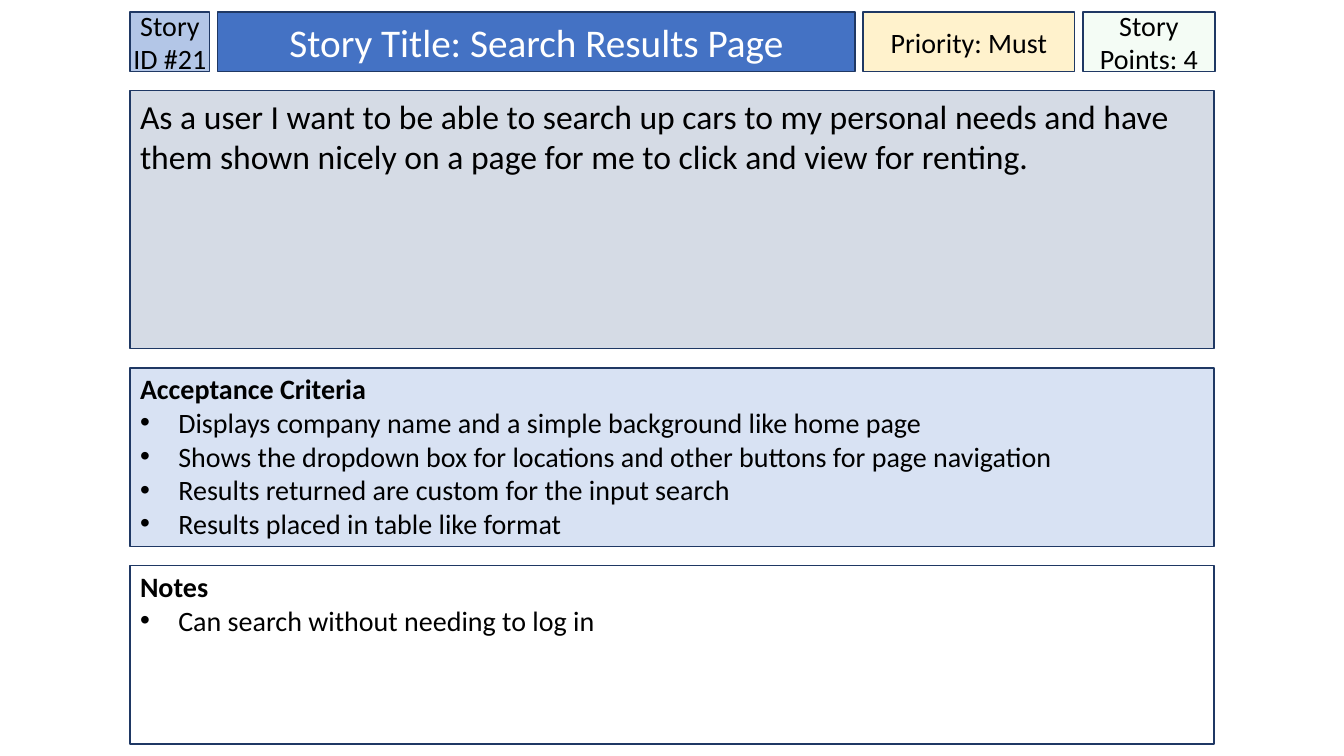
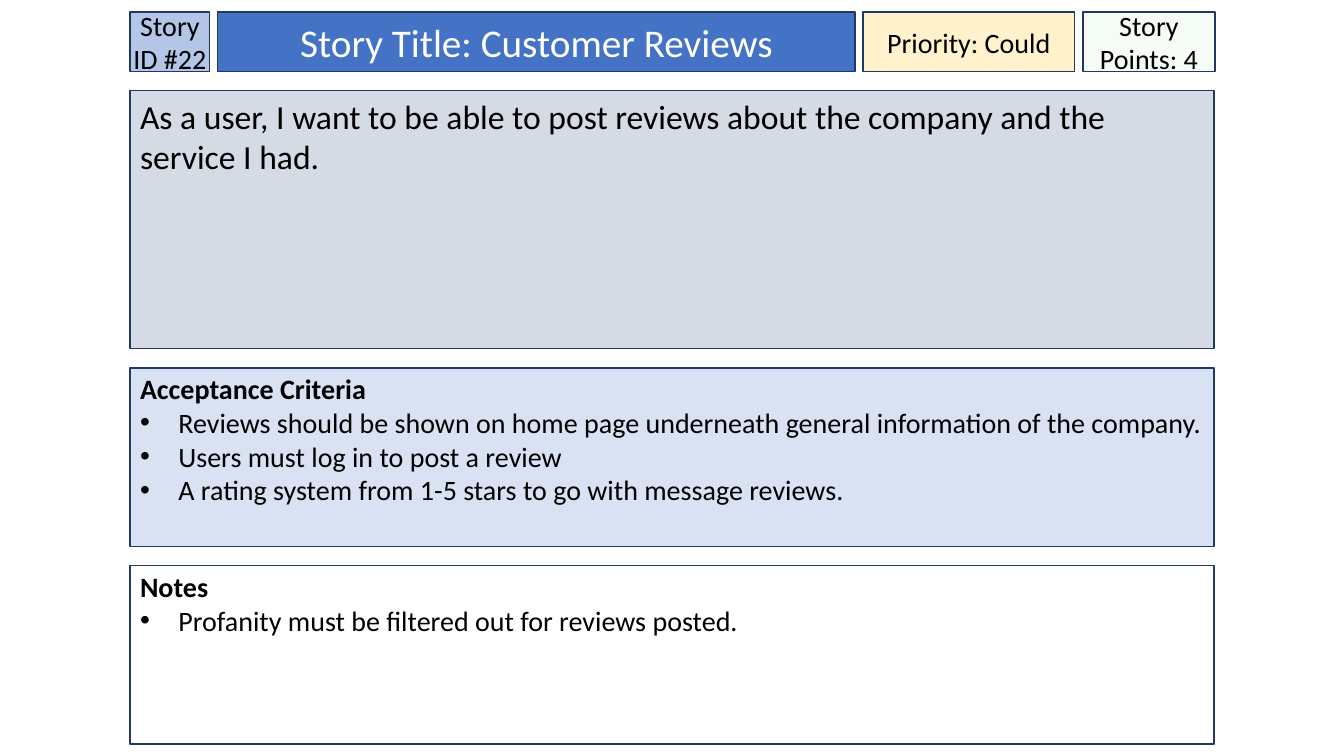
"""Build a deck of user story cards, one card per slide."""
from dataclasses import dataclass

from lxml import etree
from pptx import Presentation
from pptx.dml.color import RGBColor
from pptx.enum.shapes import MSO_SHAPE
from pptx.enum.text import MSO_ANCHOR, PP_ALIGN
from pptx.oxml.ns import qn
from pptx.slide import Slide
from pptx.util import Inches, Pt

RECTANGLE = MSO_SHAPE.RECTANGLE
TOP, MIDDLE = MSO_ANCHOR.TOP, MSO_ANCHOR.MIDDLE
LEFT, CENTER = PP_ALIGN.LEFT, PP_ALIGN.CENTER


@dataclass(frozen=True)
class Theme:
    font: str = "Calibri"
    text: str = "000000"
    title_text: str = "FFFFFF"
    outline: str = "1F3864"
    identifier: str = "B3C6E7"
    title: str = "4472C4"
    priority: str = "FFF2CC"
    points: str = "CCF0CD"
    points_opacity: int = 20
    story: str = "D5DBE5"
    criteria: str = "D8E2F3"
    notes: str = "FFFFFF"
    body_size: int = 20
    story_size: int = 24
    title_size: int = 28


@dataclass(frozen=True)
class Layout:
    left: float = 1.29
    top: float = 0.12
    width: float = 10.75
    header_height: float = 0.59
    header_gap: float = 0.08
    panel_gap: float = 0.19
    bullet_indent: float = 0.38


@dataclass(frozen=True)
class Story:
    number: int
    title: str
    priority: str
    points: int
    description: str
    criteria: tuple[str, ...]
    notes: tuple[str, ...]


@dataclass(frozen=True)
class Card:
    """A filled box: extent is its width in the header and its height as a panel."""
    extent: float
    fill: str
    text: str
    size: int
    color: str
    side_inset: float = 0.1
    top_inset: float = 0.05
    opacity: int = 100
    bold: bool = False
    bullets: tuple[str, ...] = ()


THEME = Theme()
LAYOUT = Layout()

STORIES = (
    Story(
        21, "Search Results Page", "Must", 4,
        "As a user I want to be able to search up cars to my personal needs and have "
        "them shown nicely on a page for me to click and view for renting.",
        (
            "Displays company name and a simple background like home page",
            "Shows the dropdown box for locations and other buttons for page navigation",
            "Results returned are custom for the input search",
            "Results placed in table like format",
        ),
        ("Can search without needing to log in",),
    ),
    Story(
        22, "Customer Reviews", "Could", 4,
        "As a user, I want to be able to post reviews about the company and the "
        "service I had.",
        (
            "Reviews should be shown on home page underneath general information of the company.",
            "Users must log in to post a review",
            "A rating system from 1-5 stars to go with message reviews.",
        ),
        ("Profanity must be filtered out for reviews posted.",),
    ),
)


def header_cards(story: Story) -> tuple[Card, ...]:
    """Return the header boxes from left to right."""
    size, color = THEME.body_size, THEME.text
    return (
        Card(0.79, THEME.identifier, f"Story ID #{story.number}", size, color, side_inset=0),
        Card(6.32, THEME.title, f"Story Title: {story.title}", THEME.title_size, THEME.title_text),
        Card(2.1, THEME.priority, f"Priority: {story.priority}", size, color, side_inset=0),
        Card(1.31, THEME.points, f"Story Points: {story.points}", size, color, side_inset=0,
             opacity=THEME.points_opacity),
    )


def panel_cards(story: Story) -> tuple[Card, ...]:
    """Return the full-width panels from top to bottom."""
    size, color = THEME.body_size, THEME.text
    return (
        Card(2.56, THEME.story, story.description, THEME.story_size, color),
        Card(1.77, THEME.criteria, "Acceptance Criteria", size, color, top_inset=0.04,
             bold=True, bullets=story.criteria),
        Card(1.77, THEME.notes, "Notes", size, color, top_inset=0.04,
             bold=True, bullets=story.notes),
    )


def draw_card(page: Slide, card: Card, left: float, top: float, width: float, height: float,
              anchor: MSO_ANCHOR, alignment: PP_ALIGN) -> None:
    """Draw one box with its heading and bullets."""
    box = page.shapes.add_shape(
        RECTANGLE, Inches(left), Inches(top), Inches(width), Inches(height))
    box.shadow.inherit = False
    box.fill.solid()
    box.fill.fore_color.rgb = RGBColor.from_string(card.fill)
    if card.opacity < 100:
        color = box.fill._xPr.find(qn("a:solidFill"))[0]
        etree.SubElement(color, qn("a:alpha"), val=str(card.opacity * 1000))
    box.line.color.rgb = RGBColor.from_string(THEME.outline)
    box.line.width = Pt(1)

    frame = box.text_frame
    frame.word_wrap = True
    frame.vertical_anchor = anchor
    frame.margin_left = frame.margin_right = Inches(card.side_inset)
    frame.margin_top = Inches(card.top_inset)
    frame.margin_bottom = Inches(0.05)
    for index, text in enumerate((card.text, *card.bullets)):
        paragraph = frame.add_paragraph() if index else frame.paragraphs[0]
        paragraph.text = text
        paragraph.alignment = alignment
        paragraph.font.name = THEME.font
        paragraph.font.size = Pt(card.size)
        paragraph.font.bold = card.bold and index == 0
        paragraph.font.color.rgb = RGBColor.from_string(card.color)
        if index:
            properties = paragraph._p.get_or_add_pPr()
            indent = Inches(LAYOUT.bullet_indent)
            properties.set("marL", str(indent))
            properties.set("indent", str(-indent))
            bullet_font = etree.Element(qn("a:buFont"), typeface="Arial")
            bullet = etree.Element(qn("a:buChar"), char="•")
            properties.insert(0, bullet_font)
            properties.insert(1, bullet)


def draw_story(page: Slide, story: Story) -> None:
    """Draw the header row and the panels stacked beneath it."""
    left = LAYOUT.left
    for card in header_cards(story):
        draw_card(page, card, left, LAYOUT.top, card.extent, LAYOUT.header_height, MIDDLE, CENTER)
        left += card.extent + LAYOUT.header_gap
    top = LAYOUT.top + LAYOUT.header_height + LAYOUT.panel_gap
    for card in panel_cards(story):
        draw_card(page, card, LAYOUT.left, top, LAYOUT.width, card.extent, TOP, LEFT)
        top += card.extent + LAYOUT.panel_gap


def main() -> None:
    """Create and save the deck."""
    deck = Presentation()
    deck.slide_width, deck.slide_height = Inches(13.33), Inches(7.5)
    for story in STORIES:
        draw_story(deck.slides.add_slide(deck.slide_layouts[6]), story)
    deck.save("out.pptx")


main()
